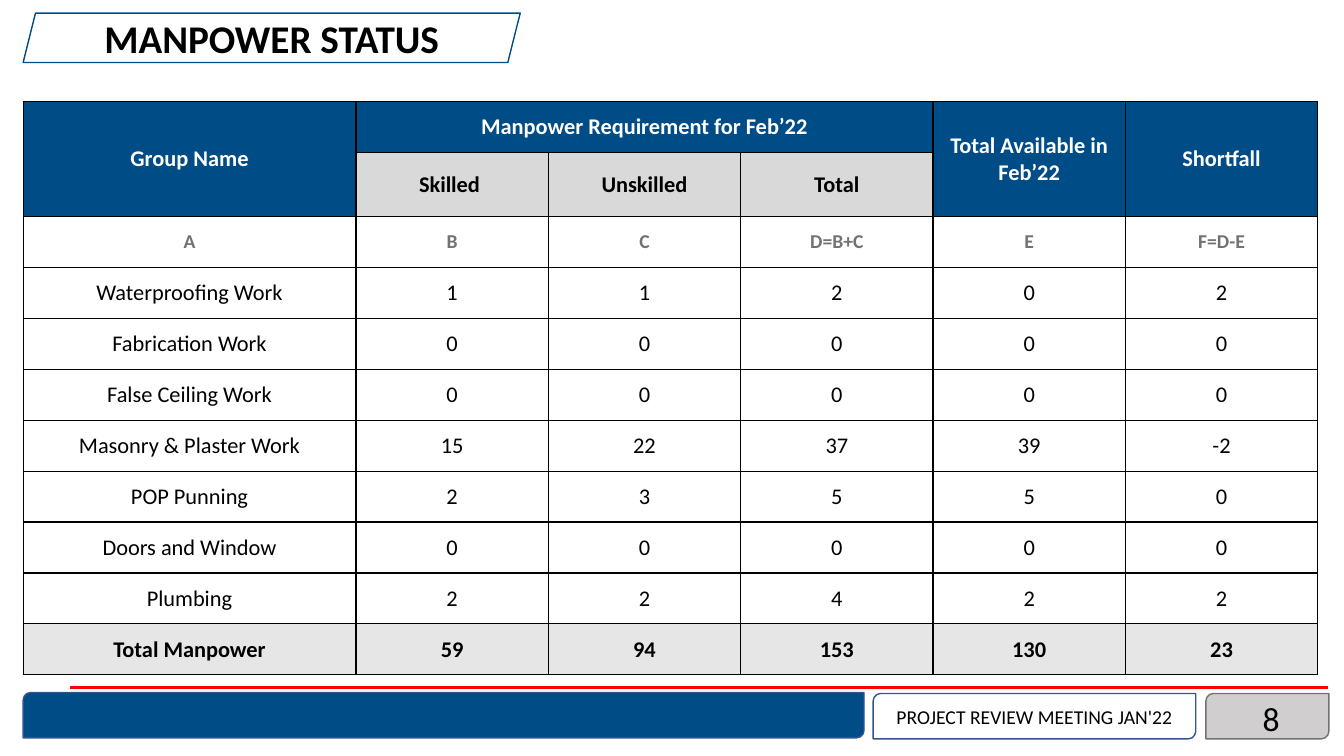
import pptx
import pptx.dml.color
import pptx.enum.shapes
import pptx.enum.text
import pptx.oxml
import pptx.oxml.ns
import pptx.util
from pptx.util import Inches

SHAPES = pptx.enum.shapes.MSO_SHAPE
ALIGN = pptx.enum.text.PP_ALIGN
MIDDLE = pptx.enum.text.MSO_ANCHOR.MIDDLE
BLUE, NAVY, RED = "004C86", "325491", "FF0000"
BLACK, WHITE, GREY = "000000", "FFFFFF", "767171"
SUBHEAD, TOTAL, NUMBER_FILL = "D9D9D9", "E7E6E6", "D0CECE"

CODES = ["A", "B", "C", "D=B+C", "E", "F=D-E"]
GROUPS = [
    ["Waterproofing Work", 1, 1, 2, 0, 2],
    ["Fabrication Work", 0, 0, 0, 0, 0],
    ["False Ceiling Work", 0, 0, 0, 0, 0],
    ["Masonry & Plaster Work", 15, 22, 37, 39, -2],
    ["POP Punning", 2, 3, 5, 5, 0],
    ["Doors and Window", 0, 0, 0, 0, 0],
    ["Plumbing", 2, 2, 4, 2, 2],
]
TOTALS = ["Total Manpower", 59, 94, 153, 130, 23]


def rgb(color):
    return pptx.dml.color.RGBColor.from_string(color)


def write(text_frame, text, size, color=BLACK, bold=False, align=ALIGN.CENTER):
    text_frame.text = str(text)
    paragraph = text_frame.paragraphs[0]
    paragraph.alignment = align
    paragraph.font.name = "Calibri"
    paragraph.font.size = pptx.util.Pt(size)
    paragraph.font.bold = bold
    paragraph.font.color.rgb = rgb(color)


def add_box(slide, kind, left, top, width, height, line, fill=None):
    shape = slide.shapes.add_shape(
        kind, Inches(left), Inches(top), Inches(width), Inches(height))
    shape.shadow.inherit = False
    if fill:
        shape.fill.solid()
        shape.fill.fore_color.rgb = rgb(fill)
    else:
        shape.fill.background()
    shape.line.color.rgb = rgb(line)
    shape.line.width = pptx.util.Pt(1)
    shape.text_frame.vertical_anchor = MIDDLE
    return shape


def add_title(slide, left, top, width, height):
    banner = add_box(slide, SHAPES.PARALLELOGRAM, left, top, width, height, BLUE)
    write(banner.text_frame, "MANPOWER STATUS", 28, bold=True)


def add_footer(slide, left, top, width, height):
    right = left + width
    # Page number panel
    add_box(slide, SHAPES.ROUND_2_DIAG_RECTANGLE,
            right - 1.22, top + 0.01, 1.22, height, GREY, NUMBER_FILL)
    # Red rule above the footer
    rule = slide.shapes.add_connector(
        pptx.enum.shapes.MSO_CONNECTOR.STRAIGHT, Inches(left + 0.46),
        Inches(top - 0.05), Inches(right - 0.01), Inches(top - 0.05))
    rule.line.color.rgb = rgb(RED)
    rule.line.width = pptx.util.Pt(2.25)
    properties = rule._element.spPr
    properties.append(properties.makeelement(pptx.oxml.ns.qn("a:effectLst"), {}))
    # Page number
    number = slide.shapes.add_textbox(
        Inches(right - 3.39), Inches(top + 0.05), Inches(3), Inches(0.4))
    number.text_frame.word_wrap = True
    number.text_frame.vertical_anchor = MIDDLE
    write(number.text_frame, "8", 24, align=ALIGN.RIGHT)
    # Blue bar and meeting name
    add_box(slide, SHAPES.ROUND_2_DIAG_RECTANGLE,
            left, top, 8.34, height, NAVY, BLUE)
    meeting = add_box(slide, SHAPES.ROUND_2_DIAG_RECTANGLE,
                      left + 8.43, top + 0.01, 3.2, height, NAVY)
    write(meeting.text_frame, "PROJECT REVIEW MEETING JAN'22", 14)


def set_borders(cell):
    properties = cell._tc.get_or_add_tcPr()
    for position, side in enumerate(("lnL", "lnR", "lnT", "lnB")):
        border = pptx.oxml.parse_xml(
            f'<a:{side} {pptx.oxml.ns.nsdecls("a")} w="12700"><a:solidFill>'
            f'<a:srgbClr val="{BLACK}"/></a:solidFill></a:{side}>')
        properties.insert(position, border)


def fill_cell(cell, text, size=16, color=BLACK, bold=False, fill=None, margin=0.01):
    write(cell.text_frame, text, size, color, bold)
    cell.vertical_anchor = MIDDLE
    cell.margin_left = cell.margin_right = Inches(margin)
    cell.margin_top = cell.margin_bottom = Inches(margin)
    if fill:
        cell.fill.solid()
        cell.fill.fore_color.rgb = rgb(fill)
    else:
        cell.fill.background()


def add_manpower_table(slide, left, top, width, height):
    rows = [*GROUPS, TOTALS]
    row_count, column_count = len(rows) + 3, len(CODES)
    table = slide.shapes.add_table(
        row_count, column_count, Inches(left), Inches(top),
        Inches(width), Inches(height)).table
    table.first_row = table.horz_banding = False
    first_width = 3.3
    for index, column in enumerate(table.columns):
        column.width = Inches(
            (width - first_width) / (column_count - 1) if index else first_width)
    for row in table.rows:
        row.height = Inches(height / row_count)

    # Two header rows; each heading spans (rows, columns)
    headings = [
        (0, "Group Name", 2, 1),
        (1, "Manpower Requirement for Feb’22", 1, 3),
        (4, "Total Available in Feb’22", 2, 1),
        (5, "Shortfall", 2, 1),
    ]
    for column, text, row_span, column_span in headings:
        cell = table.cell(0, column)
        cell.merge(table.cell(row_span - 1, column + column_span - 1))
        fill_cell(cell, text, color=WHITE, bold=True, fill=BLUE, margin=0.05)
    for column, text in enumerate(["Skilled ", "Unskilled", "Total"], 1):
        fill_cell(table.cell(1, column), text, bold=True, fill=SUBHEAD, margin=0.05)

    # Column codes, groups and totals
    for column, code in enumerate(CODES):
        fill_cell(table.cell(2, column), code, 14, GREY, True, margin=0.05)
    for row, values in enumerate(rows, 3):
        is_total = values is TOTALS
        for column, value in enumerate(values):
            fill_cell(table.cell(row, column), value, bold=is_total,
                      fill=TOTAL if is_total else None)
    for cell in table.iter_cells():
        set_borders(cell)


def main():
    presentation = pptx.Presentation()
    presentation.slide_width = Inches(13.33)
    presentation.slide_height = Inches(7.5)
    slide = presentation.slides.add_slide(presentation.slide_layouts[6])
    add_footer(slide, 0.23, 6.87, 12.95, 0.45)
    add_title(slide, 0.23, 0.13, 4.93, 0.49)
    add_manpower_table(slide, 0.23, 1.01, 12.84, 5.56)
    presentation.save("out.pptx")


if __name__ == "__main__":
    main()
